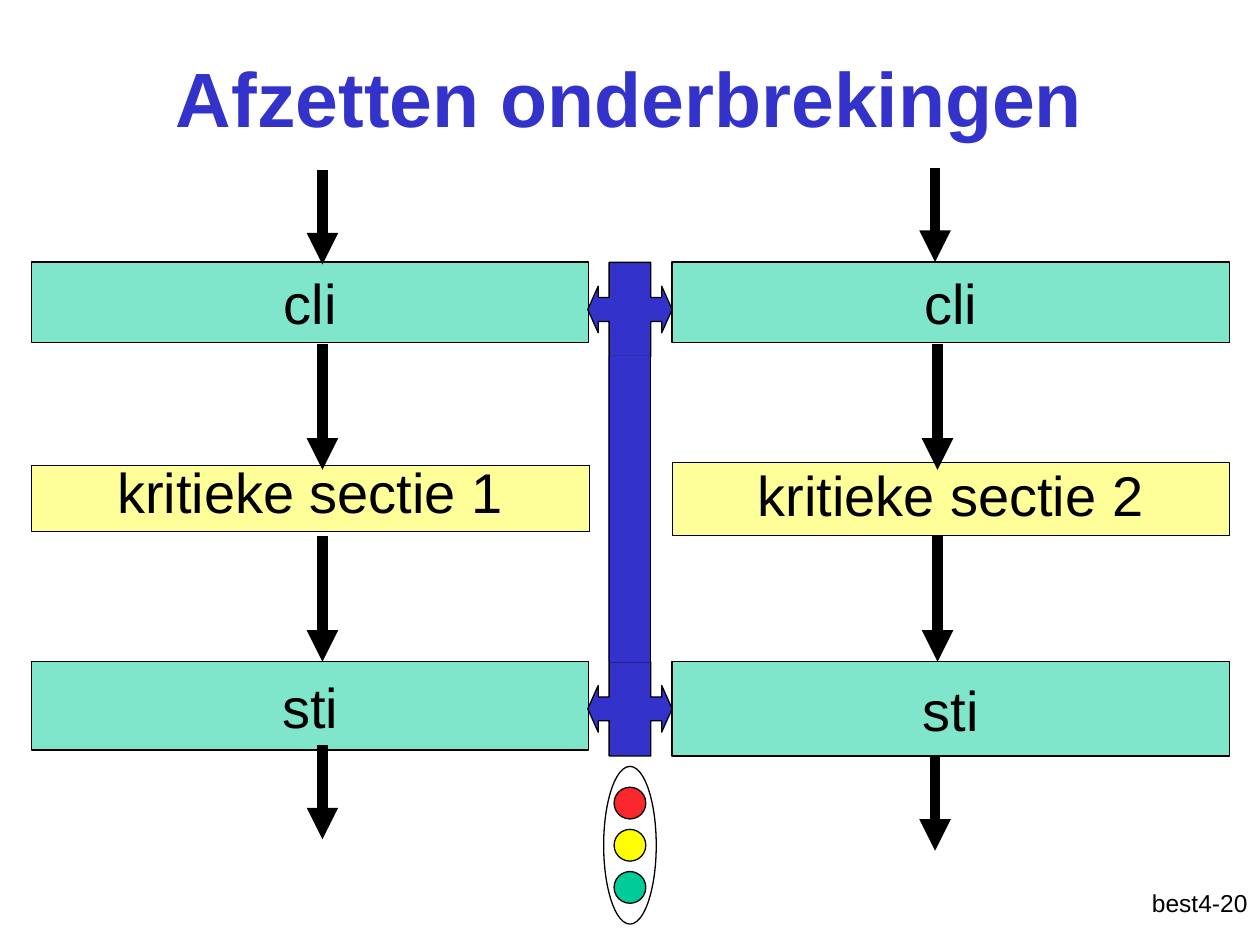
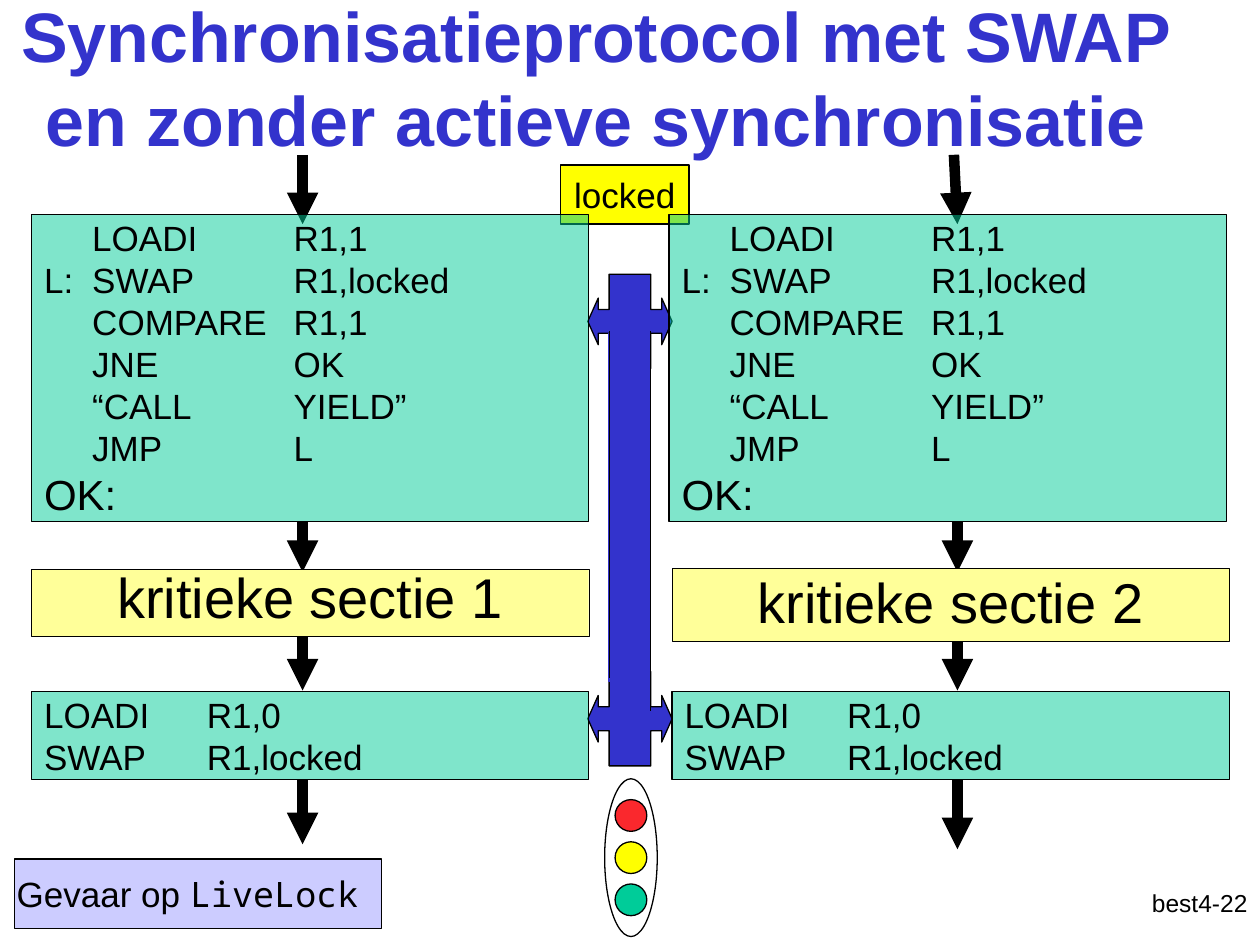
import pptx
import pptx.dml.color
import pptx.enum.shapes
import pptx.enum.text
import pptx.oxml
import pptx.oxml.ns
import pptx.util
import lxml.etree

Cm = pptx.util.Cm
Pt = pptx.util.Pt
qn = pptx.oxml.ns.qn
SHAPE = pptx.enum.shapes.MSO_SHAPE
STRAIGHT = pptx.enum.shapes.MSO_CONNECTOR.STRAIGHT
ALIGN = pptx.enum.text.PP_ALIGN
ANCHOR = pptx.enum.text.MSO_ANCHOR

BLUE, GREEN, BLACK = "3333CC", "00CC99", "000000"
YELLOW, PALE_YELLOW, LILAC = "FFFF00", "FFFF99", "CCCCFF"
RED, WHITE = "FA282D", "FFFFFF"
SANS, MONO = "Arial", "Noto Sans Mono"
LEFT, RIGHT, BOX_WIDTH = 0.64, 13.55, 11.23
MIDDLE = 12.7
BAR_HALF = 0.42
LAMP, LAMP_PITCH = 0.64, 0.85


def paint(shape, fill, line, width=0.75):
    if fill:
        shape.shadow.inherit = False
        shape.fill.solid()
        shape.fill.fore_color.rgb = pptx.dml.color.RGBColor.from_string(fill)
    else:
        lxml.etree.SubElement(shape._element.spPr, qn("a:effectLst"))
    shape.line.color.rgb = pptx.dml.color.RGBColor.from_string(line)
    shape.line.width = Pt(width)


def write(paragraph, text, size, font=SANS, colour=BLACK, bold=False):
    run = paragraph.add_run()
    run.text = text
    run.font.size = Pt(size)
    run.font.name = font
    run.font.bold = bold
    run.font.color.rgb = pptx.dml.color.RGBColor.from_string(colour)


STYLES = {
    "step": dict(fill=GREEN, alpha=50, width=0.75, align=ALIGN.CENTER, anchor=ANCHOR.MIDDLE),
    "code": dict(fill=GREEN, alpha=50, width=0.75, align=ALIGN.LEFT, anchor=ANCHOR.MIDDLE),
    "critical": dict(fill=PALE_YELLOW, alpha=100, width=0.25, align=ALIGN.CENTER, anchor=ANCHOR.TOP),
    "variable": dict(fill=YELLOW, alpha=100, width=0.75, align=ALIGN.CENTER, anchor=ANCHOR.MIDDLE),
    "warning": dict(fill=LILAC, alpha=100, width=0.75, align=ALIGN.CENTER, anchor=ANCHOR.MIDDLE),
}

cli = [[("cli", 32)]]
sti = [[("sti", 32)]]
critical_1 = [[("kritieke sectie 1", 32)]]
critical_2 = [[("kritieke sectie 2", 32)]]
acquire = [[(line, 20)] for line in (
    "\tLOADI\tR1,1",
    "L:\tSWAP\tR1,locked",
    "\tCOMPARE\tR1,1",
    "\tJNE\tOK",
    "\t“CALL\tYIELD”",
    "\tJMP\tL",
)] + [[("OK:", 24)]]
release = [[("LOADI\tR1,0", 20)], [("SWAP\tR1,locked", 20)]]
acquire_tabs = (0.97, 5.03)
release_tabs = (3.28,)

slides = [
    dict(
        title="Afzetten onderbrekingen", title_size=44,
        title_place=(1.9, 0.36, 21.59, 3.18), footer="best4-20",
        layers=("boxes", "barrier", "arrows"),
        boxes=[
            ("step", LEFT, 5.28, BOX_WIDTH, 1.63, cli, 1, ()),
            ("step", LEFT, 13.34, BOX_WIDTH, 1.78, sti, 1, ()),
            ("critical", LEFT, 9.37, BOX_WIDTH, 1.35, critical_1, 0.8, ()),
            ("critical", RIGHT, 9.32, BOX_WIDTH, 1.47, critical_2, 0.9, ()),
            ("step", RIGHT, 5.28, BOX_WIDTH, 1.63, cli, 1, ()),
            ("step", RIGHT, 13.34, BOX_WIDTH, 1.9, sti, 1, ()),
        ],
        arrows=[
            (6.5, 3.43, 6.5, 5.33), (6.5, 6.93, 6.5, 9.47),
            (6.5, 10.8, 6.5, 13.34), (6.5, 15.01, 6.5, 16.92),
            (18.85, 3.38, 18.85, 5.28), (18.9, 6.93, 18.9, 9.47),
            (18.9, 10.8, 18.9, 13.34), (18.85, 15.24, 18.85, 17.15),
        ],
        crosses=(6.24, 14.29), bar=(7.19, 6.15),
        edges=((-BAR_HALF, 6.78, 13.77), (BAR_HALF, 6.78, 13.77)),
        light=(MIDDLE, 17.04),
    ),
    dict(
        title="Synchronisatieprotocol met SWAP en zonder actieve synchronisatie", title_size=40,
        title_place=(-0.1, -0.05, 24.21, 3.18), footer="best4-22",
        layers=("arrows", "barrier", "boxes"),
        boxes=[
            ("variable", 11.3, 3.33, 2.59, 1.19, [[("locked", 20)]], 1, ()),
            ("code", LEFT, 13.94, BOX_WIDTH, 1.78, release, 1, release_tabs),
            ("critical", LEFT, 11.48, BOX_WIDTH, 1.35, critical_1, 0.8, ()),
            ("critical", RIGHT, 11.46, BOX_WIDTH, 1.47, critical_2, 0.9, ()),
            ("code", RIGHT, 13.94, BOX_WIDTH, 1.78, release, 1, release_tabs),
            ("code", LEFT, 4.32, BOX_WIDTH, 6.2, acquire, 1, acquire_tabs),
            ("code", 13.49, 4.32, BOX_WIDTH, 6.2, acquire, 1, acquire_tabs),
            ("warning", 0.3, 17.32, 7.39, 1.4,
             [[("Gevaar op ", 20), ("LiveLock ", 20, MONO)]], 1, ()),
        ],
        arrows=[
            (6.1, 3.12, 6.1, 4.52), (6.1, 10.52, 6.1, 11.53),
            (6.1, 12.32, 6.1, 13.92), (6.1, 15.72, 6.1, 17.02),
            (19.23, 3.12, 19.3, 4.52), (19.3, 10.52, 19.3, 11.53),
            (19.3, 12.32, 19.3, 13.92), (19.3, 15.72, 19.3, 17.12),
        ],
        crosses=(6.48, 14.49), bar=(6.73, 7.01),
        edges=((-BAR_HALF, 6.68, 13.67), (BAR_HALF, 6.68, 14.33)),
        light=(12.72, 17.29),
    ),
]

quarter = [(BAR_HALF, 0.95), (BAR_HALF, 0.24), (0.64, 0.24), (0.64, 0.47), (0.85, 0)]
right_half = [(x, -y) for x, y in quarter] + quarter[-2::-1]
cross_outline = right_half + [(-x, -y) for x, y in right_half]

presentation = pptx.Presentation()
presentation.slide_width = Cm(25.4)
presentation.slide_height = Cm(19.05)

for content in slides:
    slide = presentation.slides.add_slide(presentation.slide_layouts[5])
    shapes = slide.shapes

    title = shapes.title
    title.left, title.top, title.width, title.height = map(Cm, content["title_place"])
    title.text_frame.word_wrap = True
    title.text_frame.auto_size = pptx.enum.text.MSO_AUTO_SIZE.NONE
    title.text_frame.vertical_anchor = ANCHOR.MIDDLE
    paragraph = title.text_frame.paragraphs[0]
    paragraph.alignment = ALIGN.CENTER
    write(paragraph, content["title"], content["title_size"], colour=BLUE, bold=True)

    footer = shapes.add_textbox(Cm(20.12), Cm(17.78), Cm(5.28), Cm(1.27))
    footer.text_frame.word_wrap = True
    paragraph = footer.text_frame.paragraphs[0]
    paragraph.alignment = ALIGN.RIGHT
    write(paragraph, content["footer"], 14)

    for layer in content["layers"]:
        if layer == "arrows":
            for ends in content["arrows"]:
                arrow = shapes.add_connector(STRAIGHT, *map(Cm, ends))
                paint(arrow, None, BLACK, 6)
                lxml.etree.SubElement(arrow.line._get_or_add_ln(), qn("a:tailEnd"), type="triangle")

        elif layer == "barrier":
            for centre in content["crosses"]:
                points = [(Cm(MIDDLE + x), Cm(centre + y)) for x, y in cross_outline]
                builder = shapes.build_freeform(*points[0])
                builder.add_line_segments(points[1:], close=True)
                paint(builder.convert_to_shape(), BLUE, BLACK)

            top, height = content["bar"]
            bar = shapes.add_shape(
                SHAPE.RECTANGLE, Cm(MIDDLE - BAR_HALF), Cm(top), Cm(2 * BAR_HALF), Cm(height))
            paint(bar, BLUE, BLUE)
            for offset, top, bottom in content["edges"]:
                x = Cm(MIDDLE + offset)
                paint(shapes.add_connector(STRAIGHT, x, Cm(top), x, Cm(bottom)), None, BLACK)

            x, y = content["light"]
            traffic_light = shapes.add_group_shape()
            discs = [(y, 1.06, 3.18, WHITE)]
            for position, colour in enumerate((RED, YELLOW, GREEN), start=-1):
                discs.append((y + position * LAMP_PITCH, LAMP, LAMP, colour))
            for centre, width, height, colour in discs:
                disc = traffic_light.shapes.add_shape(
                    SHAPE.OVAL, Cm(x - width / 2), Cm(centre - height / 2), Cm(width), Cm(height))
                paint(disc, colour, BLACK)

        else:
            for kind, left, top, width, height, lines, spacing, tabs in content["boxes"]:
                style = STYLES[kind]
                box = shapes.add_shape(SHAPE.RECTANGLE, Cm(left), Cm(top), Cm(width), Cm(height))
                paint(box, style["fill"], BLACK, style["width"])
                if style["alpha"] < 100:
                    colour = box._element.spPr.find(qn("a:solidFill")).find(qn("a:srgbClr"))
                    lxml.etree.SubElement(colour, qn("a:alpha"), val=str(style["alpha"] * 1000))
                frame = box.text_frame
                frame.word_wrap = kind == "critical"
                frame.vertical_anchor = style["anchor"]
                for number, runs in enumerate(lines):
                    paragraph = frame.add_paragraph() if number else frame.paragraphs[0]
                    paragraph.alignment = style["align"]
                    if spacing != 1:
                        paragraph.line_spacing = spacing
                    if tabs:
                        tab_list = lxml.etree.SubElement(
                            paragraph._p.get_or_add_pPr(), qn("a:tabLst"))
                        for tab in tabs:
                            lxml.etree.SubElement(
                                tab_list, qn("a:tab"), pos=str(int(Cm(tab))), algn="l")
                    for run in runs:
                        write(paragraph, *run)

presentation.save("out.pptx")
